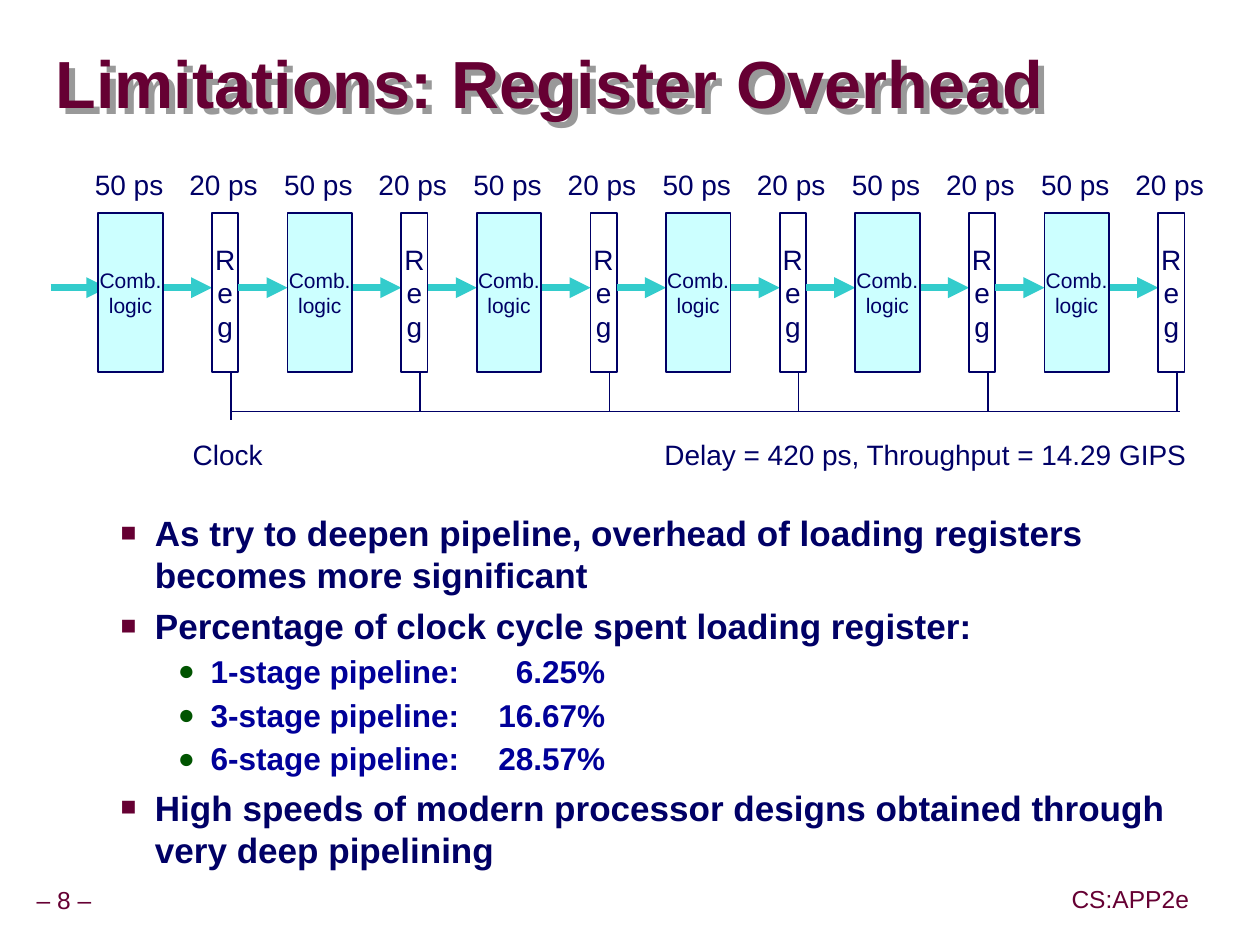
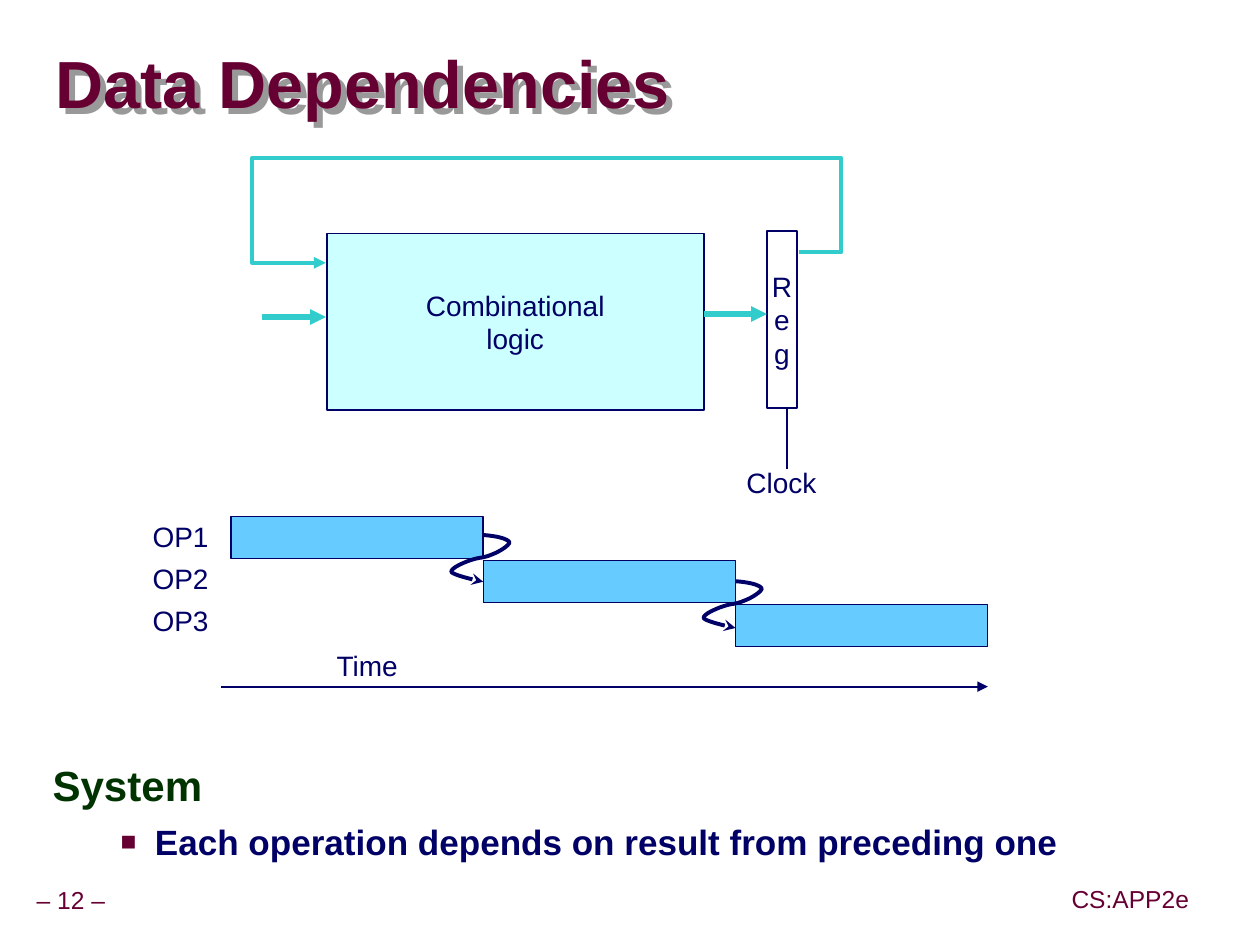
from lxml import etree
from pptx import Presentation
from pptx.dml.color import RGBColor
from pptx.enum import shapes, text
from pptx.oxml import ns
from pptx.util import Cm, Pt

MAROON = RGBColor(0x66, 0x00, 0x33)
NAVY = RGBColor(0x00, 0x00, 0x66)
BLUE = RGBColor(0x00, 0x00, 0x99)
FOREST = RGBColor(0x00, 0x33, 0x00)
GREEN = RGBColor(0x00, 0x54, 0x00)
TEAL = RGBColor(0x33, 0xCC, 0xCC)
PALE_CYAN = RGBColor(0xCC, 0xFF, 0xFF)
SKY = RGBColor(0x66, 0xCC, 0xFF)
WHITE = RGBColor(0xFF, 0xFF, 0xFF)
SHADOW_GRAY = RGBColor(0x99, 0x99, 0x99)

FONT = "Arial"
LEFT, CENTER, RIGHT = text.PP_ALIGN.LEFT, text.PP_ALIGN.CENTER, text.PP_ALIGN.RIGHT
TOP, MIDDLE = text.MSO_ANCHOR.TOP, text.MSO_ANCHOR.MIDDLE

COURSE = "CS:APP2e"
REGISTER = "R\ne\ng"

LEVELS = {
    "heading": dict(size=24, color=FOREST, margin=1.07, indent=-1.07, spacing=0.95, before=12),
    "point": dict(size=20, color=NAVY, margin=2.06, indent=-0.69, spacing=1.0, before=5,
                  bullet=("■", MAROON, 75)),
    "detail": dict(size=18, color=BLUE, margin=3.18, indent=-0.66, spacing=1.07, before=1.8,
                   bullet=("●", GREEN, 90)),
}

OVERHEAD = {
    "title": "Limitations: Register Overhead",
    "page": "– 8 –",
    "body_top": 10.16,
    "body": [
        ("point", "As try to deepen pipeline, overhead of loading registers becomes more significant"),
        ("point", "Percentage of clock cycle spent loading register:"),
        ("detail", "1-stage pipeline: \t6.25%"),
        ("detail", "3-stage pipeline: \t16.67%"),
        ("detail", "6-stage pipeline: \t28.57%"),
        ("point", "High speeds of modern processor designs obtained through very deep pipelining"),
    ],
}
DEPENDENCIES = {
    "title": "Data Dependencies",
    "page": "– 12 –",
    "body_top": 15.24,
    "body": [
        ("heading", "System"),
        ("point", "Each operation depends on result from preceding one"),
    ],
}

STAGES = 6
STAGE_PITCH = 3.81
OPERATIONS = ["OP1", "OP2", "OP3"]
FEEDBACK = [(16.08, 5.08), (16.94, 5.08), (16.94, 3.18), (5.08, 3.18), (5.08, 5.29), (6.56, 5.29)]
HANDOFF = [
    ((0, 0), (0.3, 0.02), (0.5, 0.08), (0.53, 0.15)),
    ((0.53, 0.15), (0.5, 0.25), (0.15, 0.44), (-0.08, 0.46)),
    ((-0.08, 0.46), (-0.3, 0.5), (-0.66, 0.66), (-0.64, 0.74)),
    ((-0.64, 0.74), (-0.62, 0.8), (-0.2, 0.9), (0, 0.94)),
]


def add_xml(parent, tag, **attributes):
    return etree.SubElement(parent, ns.qn(tag), attributes)


def format_runs(paragraph, size, color, bold=False):
    for run in paragraph.runs:
        run.font.name, run.font.size, run.font.bold = FONT, Pt(size), bold
        run.font.color.rgb = color


def fill_text(shape, words, size=16, color=NAVY, align=CENTER, anchor=MIDDLE,
              inset=0.25, bold=False, wrap=False, spacing=None):
    frame = shape.text_frame
    frame.text = words
    frame.word_wrap, frame.vertical_anchor = wrap, anchor
    frame.margin_left = frame.margin_right = Cm(inset)
    frame.margin_top = frame.margin_bottom = Cm(min(inset, 0.13))
    for paragraph in frame.paragraphs:
        paragraph.alignment = align
        if spacing:
            paragraph.line_spacing = spacing
        format_runs(paragraph, size, color, bold)


def add_label(slide, words, left, top, width, height=0.91, **style):
    label = slide.shapes.add_textbox(Cm(left), Cm(top), Cm(width), Cm(height))
    fill_text(label, words, **style)
    return label


def add_box(slide, left, top, width, height, fill, words="", size=16, weight=1):
    box = slide.shapes.add_shape(shapes.MSO_SHAPE.RECTANGLE, Cm(left), Cm(top), Cm(width), Cm(height))
    box.shadow.inherit = False
    box.fill.solid()
    box.fill.fore_color.rgb = fill
    box.line.color.rgb, box.line.width = NAVY, Pt(weight)
    if words:
        fill_text(box, words, size)


def style_stroke(stroke, color, weight, head):
    stroke.line.color.rgb, stroke.line.width = color, Pt(weight)
    if head:
        add_xml(stroke.line._get_or_add_ln(), "a:tailEnd", type=head)


def add_line(slide, x1, y1, x2, y2, color=NAVY, weight=1, head=None):
    line = slide.shapes.add_connector(shapes.MSO_CONNECTOR.STRAIGHT, Cm(x1), Cm(y1), Cm(x2), Cm(y2))
    style_stroke(line, color, weight, head)
    add_xml(line._element.spPr, "a:effectLst")


def add_route(slide, points, color, head):
    start, *rest = [(Cm(x), Cm(y)) for x, y in points]
    builder = slide.shapes.build_freeform(*start)
    builder.add_line_segments(rest, close=False)
    route = builder.convert_to_shape()
    route.shadow.inherit = False
    route.fill.background()
    style_stroke(route, color, 2.25, head)


def curve_points(curves, left, top, steps=12):
    points = [(left, top)]
    for curve in curves:
        for step in range(1, steps + 1):
            t = step / steps
            weights = ((1 - t) ** 3, 3 * t * (1 - t) ** 2, 3 * t * t * (1 - t), t ** 3)
            x, y = (sum(w * p[axis] for w, p in zip(weights, curve)) for axis in (0, 1))
            points.append((left + x, top + y))
    return points


def add_title(slide, words):
    title = add_label(slide, words, 1.12, 0.69, 24.18, 2.16, size=38, color=MAROON, bold=True,
                      align=LEFT, inset=0, wrap=True, spacing=0.87)
    effects = add_xml(title._element.spPr, "a:effectLst")
    shadow = add_xml(effects, "a:outerShdw", dist=str(Cm(0.17)), dir="2700000",
                     algn="ctr", rotWithShape="0")
    add_xml(shadow, "a:srgbClr", val=str(SHADOW_GRAY))


def add_body(slide, items, top):
    body = add_label(slide, "\n".join(words for _, words in items), 0.81, top, 23.04, 17.86 - top,
                     align=LEFT, anchor=TOP, wrap=True)
    for paragraph, (level, words) in zip(body.text_frame.paragraphs, items):
        look = LEVELS[level]
        format_runs(paragraph, look["size"], look["color"], bold=True)
        paragraph.line_spacing, paragraph.space_before = look["spacing"], Pt(look["before"])
        properties = paragraph._p.get_or_add_pPr()
        properties.set("marL", str(Cm(look["margin"])))
        properties.set("indent", str(Cm(look["indent"])))
        if "bullet" in look:
            mark, color, percent = look["bullet"]
            add_xml(add_xml(properties, "a:buClr"), "a:srgbClr", val=str(color))
            add_xml(properties, "a:buSzPct", val=str(percent * 1000))
            add_xml(properties, "a:buFont", typeface=FONT)
            add_xml(properties, "a:buChar", char=mark)
        if "\t" in words:
            add_xml(add_xml(properties, "a:tabLst"), "a:tab", pos=str(Cm(9.68)), algn="dec")


def add_slide(deck, content):
    slide = deck.slides.add_slide(deck.slide_layouts[6])
    footer = dict(size=14, color=MAROON, inset=0.13, spacing=0.9)
    add_label(slide, content["page"], 0.61, 17.75, 1.68, 0.79, align=LEFT, **footer)
    add_label(slide, COURSE, 21.44, 17.73, 2.64, 0.79, **footer)
    add_title(slide, content["title"])
    add_body(slide, content["body"], content["body_top"])
    return slide


def draw_pipeline(slide):
    box_top, box_height, flow, bus = 4.29, 3.2, 5.79, 8.28
    logic_width, register_width = 1.3, 0.53
    for stage in range(STAGES):
        logic = 1.98 + stage * STAGE_PITCH
        register = logic + 2.29
        clock = register + 0.38
        if stage:
            entry, entry_end = register - STAGE_PITCH + register_width, logic
        else:
            entry, entry_end = 1.02, 2.16
        for start, end in ((entry, entry_end), (logic + logic_width, register)):
            add_line(slide, start, flow, end, flow, TEAL, 4, "triangle")
        add_box(slide, logic, box_top, logic_width, box_height, PALE_CYAN, "Comb.\nlogic", 12)
        add_box(slide, register, box_top, register_width, box_height, WHITE, REGISTER)
        add_line(slide, clock, box_top + box_height, clock, bus if stage else bus + 0.18)
        for delay, left in (("50 ps", logic - 0.33), ("20 ps", logic + 1.57)):
            add_label(slide, delay, left, 3.25, 1.9, inset=0.05)
    add_line(slide, 4.65, bus, 23.75, bus)
    add_label(slide, "Clock", 3.63, 8.69, 1.91)
    add_label(slide, "Delay = 420 ps, Throughput = 14.29 GIPS", 13.13, 8.69, 11.33, align=LEFT)


def draw_feedback(slide):
    add_line(slide, 5.28, 6.38, 6.56, 6.38, TEAL, 3, "triangle")
    add_box(slide, 6.58, 4.7, 7.59, 3.56, PALE_CYAN, "Combinational\nlogic")
    add_box(slide, 15.44, 4.65, 0.61, 3.56, WHITE, REGISTER)
    add_line(slide, 14.17, 6.32, 15.44, 6.32, TEAL, 3, "triangle")
    add_line(slide, 15.85, 8.23, 15.85, 9.45)
    add_label(slide, "Clock", 14.78, 9.25, 1.91)
    add_route(slide, FEEDBACK, TEAL, "triangle")


def draw_timeline(slide):
    left, top, width, height, drop = 4.65, 10.39, 5.08, 0.85, 0.89
    for row, operation in enumerate(OPERATIONS):
        add_label(slide, operation, 2.11, 10.37 + row * 0.85, 2.34, 0.85, align=RIGHT)
        add_box(slide, left + row * width, top + row * drop, width, height, SKY, weight=0.75)
    for row in range(1, len(OPERATIONS)):
        curve = curve_points(HANDOFF, left + row * width, 10.77 + (row - 1) * 0.93)
        add_route(slide, curve, NAVY, "stealth")
    add_line(slide, 4.45, 13.82, 19.89, 13.82, head="triangle")
    add_label(slide, "Time", 6.53, 12.93, 1.75, align=LEFT)


def main():
    deck = Presentation()
    deck.slide_width, deck.slide_height = Cm(25.37), Cm(19.02)
    draw_pipeline(add_slide(deck, OVERHEAD))
    dependencies = add_slide(deck, DEPENDENCIES)
    draw_feedback(dependencies)
    draw_timeline(dependencies)
    deck.save("out.pptx")


if __name__ == "__main__":
    main()
